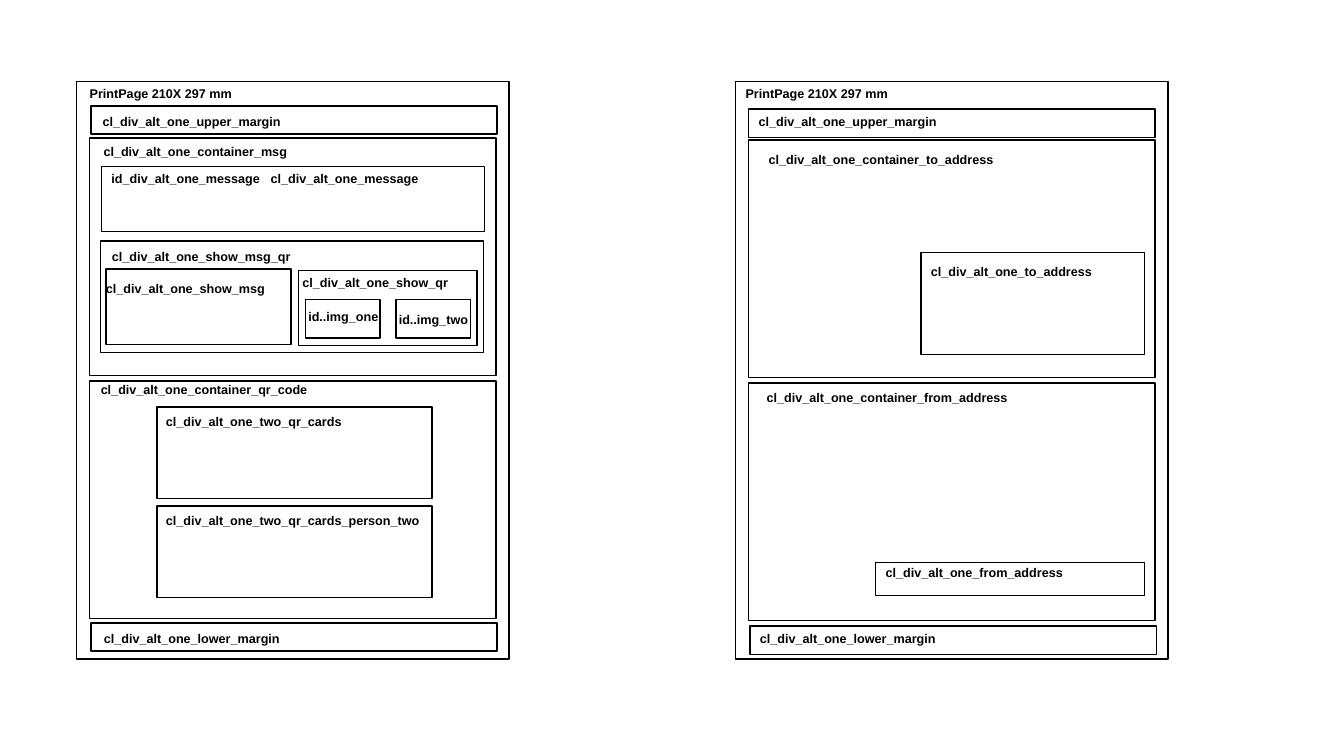
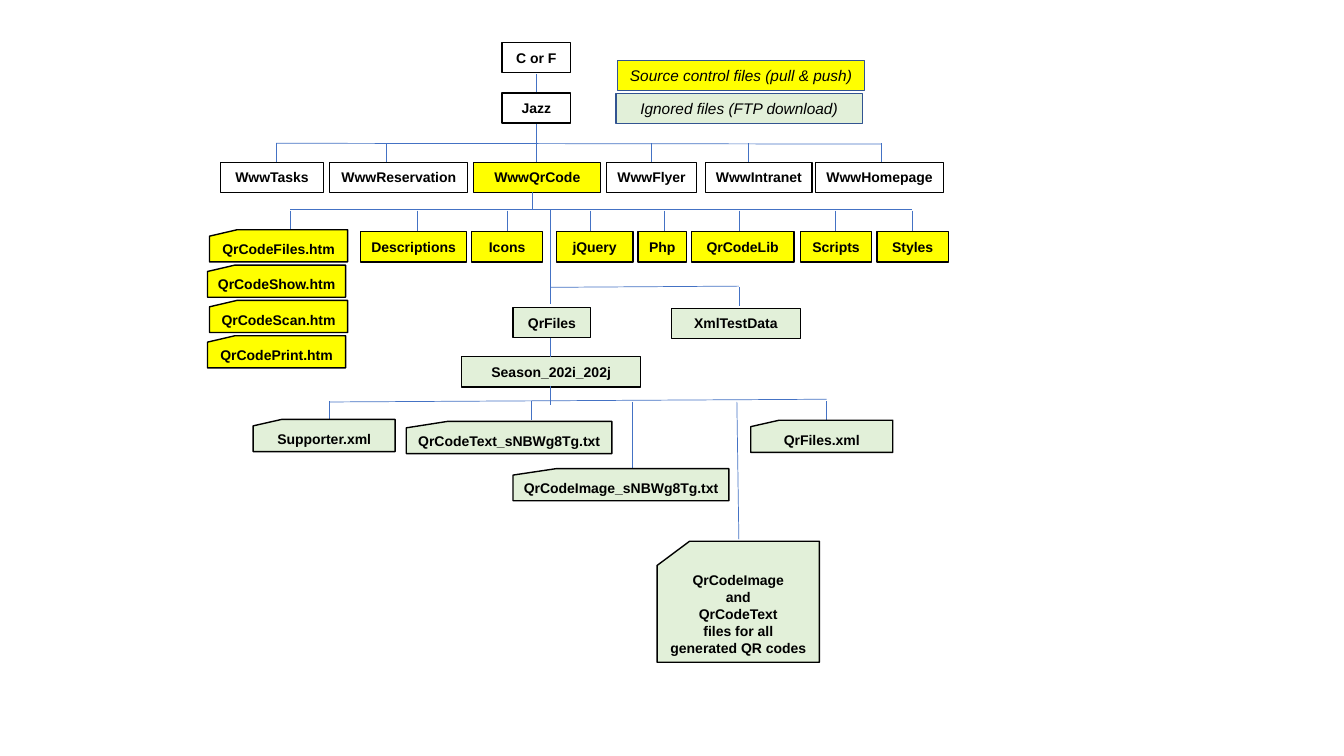
from dataclasses import dataclass

from lxml.etree import SubElement
from pptx import Presentation
from pptx.dml.color import RGBColor
from pptx.enum.shapes import MSO_CONNECTOR, MSO_SHAPE
from pptx.enum.text import MSO_ANCHOR, PP_ALIGN
from pptx.oxml.ns import qn
from pptx.util import Cm, Pt

COLORS = {
    "ink": "000000",
    "branch": "4472C4",
    "legend": "325491",
    "source": "FFFF00",
    "ignored": "E2F0D9",
}
FONT = "Arial"
NODE_H = 0.76
CARD_H = 0.81


@dataclass
class Box:
    """An area of the slide in centimetres."""
    x: float
    y: float
    w: float
    h: float

    def inner(self, x, y, w, h):
        return Box(self.x + x, self.y + y, w, h)

    def lengths(self):
        return Cm(self.x), Cm(self.y), Cm(self.w), Cm(self.h)


def color(name):
    return RGBColor.from_string(COLORS[name])


# Shared building parts

def write(frame, *lines, size=10, bold=True, italic=False,
          align=PP_ALIGN.CENTER, anchor=MSO_ANCHOR.MIDDLE, wrap=False):
    frame.word_wrap = wrap
    frame.vertical_anchor = anchor
    for i, line in enumerate(lines):
        paragraph = frame.paragraphs[0] if i == 0 else frame.add_paragraph()
        paragraph.alignment = align
        run = paragraph.add_run()
        run.text = line
        run.font.name = FONT
        run.font.size = Pt(size)
        run.font.bold = bold
        run.font.italic = italic
        run.font.color.rgb = color("ink")


def outline(slide, box, fill=None, line="ink", preset=MSO_SHAPE.RECTANGLE):
    shape = slide.shapes.add_shape(preset, *box.lengths())
    shape.shadow.inherit = False
    if fill:
        shape.fill.solid()
        shape.fill.fore_color.rgb = color(fill)
    else:
        shape.fill.background()
    shape.line.color.rgb = color(line)
    shape.line.width = Pt(1)
    return shape


def branch(slide, area, x1, y1, x2, y2):
    line = slide.shapes.add_connector(
        MSO_CONNECTOR.STRAIGHT, Cm(area.x + x1), Cm(area.y + y1),
        Cm(area.x + x2), Cm(area.y + y2))
    line.line.color.rgb = color("branch")
    line.line.width = Pt(0.5)
    SubElement(line._element.spPr, qn("a:effectLst"))


def stubs(slide, area, top, bottom, *xs):
    for x in xs:
        branch(slide, area, x, top, x, bottom)


# Page layout diagram

def label(slide, box, text, dx=0, dy=0, width=7.21):
    area = box.inner(dx, dy, width, 0.64)
    frame = slide.shapes.add_textbox(*area.lengths()).text_frame
    write(frame, text, size=9, align=PP_ALIGN.LEFT, anchor=MSO_ANCHOR.TOP,
          wrap=True)


def div(slide, box, text, dx=0, dy=0, width=7.21):
    outline(slide, box)
    label(slide, box, text, dx, dy, width)
    return box


def margin(slide, page, x, y, side, dx=0, dy=0):
    div(slide, page.inner(x, y, 10.24, 0.71),
        f"cl_div_alt_one_{side}_margin", dx, dy)


def container(slide, page, y, content, dx, dy):
    return div(slide, page.inner(0.33, y, 10.24, 5.99),
               f"cl_div_alt_one_container_{content}", dx, dy)


def message_page(slide, page):
    div(slide, page, "PrintPage 210X 297 mm", 0.08, -0.03)
    margin(slide, page, 0.36, 0.61, "upper", 0.05, 0.08)

    # Message and its preview
    msg = container(slide, page, 1.42, "msg", 0.1, 0.03)
    message = div(slide, msg.inner(0.3, 0.71, 9.65, 1.65),
                  "id_div_alt_one_message", width=4.6)
    label(slide, message, "cl_div_alt_one_message", 4.01, width=5.64)
    preview = div(slide, msg.inner(0.28, 2.59, 9.65, 2.82),
                  "cl_div_alt_one_show_msg_qr", 0.03, 0.08, 5.77)
    div(slide, preview.inner(0.13, 0.71, 4.67, 1.9),
        "cl_div_alt_one_show_msg", -0.25, 0.18, 5.36)
    show_qr = div(slide, preview.inner(4.98, 0.74, 4.5, 1.9),
                  "cl_div_alt_one_show_qr", -0.15, 0, 5.36)
    for number, x, dy in (("one", 0.18, 0.1), ("two", 2.46, 0.18)):
        div(slide, show_qr.inner(x, 0.74, 1.88, 0.97),
            f"id..img_{number}", -0.18, dy, 2.36)

    # QR code cards
    codes = container(slide, page, 7.54, "qr_code", 0.03, -0.1)
    for i, person in enumerate(("", "_person_two")):
        div(slide, codes.inner(1.7, 0.66 + 2.49 * i, 6.93, 2.31),
            f"cl_div_alt_one_two_qr_cards{person}", -0.03, 0.05, 7.72)
    margin(slide, page, 0.36, 13.64, "lower", 0.08, 0.08)


def address_page(slide, page):
    div(slide, page, "PrintPage 210X 297 mm", 0, -0.03)
    margin(slide, page, 0.33, 0.69, "upper")
    receiver = container(slide, page, 1.47, "to_address", 0.25, 0.18)
    div(slide, receiver.inner(4.34, 2.84, 5.64, 2.57),
        "cl_div_alt_one_to_address", 0, 0.15, 4.9)
    sender = container(slide, page, 7.59, "from_address", 0.2, 0.05)
    div(slide, sender.inner(3.2, 4.52, 6.78, 0.84),
        "cl_div_alt_one_from_address", 0, -0.05, 5.79)
    margin(slide, page, 0.36, 13.72, "lower")


# Folder tree

def folder(slide, area, x, y, width, name, fill=None):
    shape = outline(slide, area.inner(x, y, width, NODE_H), fill)
    write(shape.text_frame, name)


def card(slide, area, x, y, width, *lines, fill="ignored", height=CARD_H):
    shape = outline(slide, area.inner(x, y, width, height), fill,
                    preset=MSO_SHAPE.FLOWCHART_CARD)
    write(shape.text_frame, *lines)


def legend(slide, area):
    entries = (("source", "Source control files (pull & push)", 0.05),
               ("ignored", "Ignored files (FTP download)", 0))
    for i, (fill, text, x) in enumerate(entries):
        shape = outline(slide, area.inner(x, 0.84 * i, area.w, NODE_H),
                        fill, "legend")
        write(shape.text_frame, text, size=11, bold=False, italic=True)


def site_folders(slide, area):
    for i, name in enumerate(("C or F", "Jazz")):
        y = 1.27 * i
        folder(slide, area, 7.09, y, 1.73, name)
        stubs(slide, area, y + 0.79, y + 1.27, 7.95)
    branch(slide, area, 1.4, 2.54, 16.64, 2.56)
    stubs(slide, area, 2.54, 3.02, 1.4, 4.17, 7.95, 10.85, 13.31, 16.64)
    sites = (("Tasks", 0, 2.59), ("Reservation", 2.75, 3.48),
             ("QrCode", 6.38, 3.2), ("Flyer", 9.73, 2.26),
             ("Intranet", 12.22, 2.69), ("Homepage", 14.99, 3.23))
    for name, x, width in sites:
        folder(slide, area, x, 3.02, width, f"Www{name}",
               "source" if name == "QrCode" else None)
    stubs(slide, area, 3.78, 4.21, 7.85)


def source_files(slide, area):
    branch(slide, area, 2.09, 0, 17.76, 0)
    stubs(slide, area, 0.03, 0.54,
          2.09, 5.29, 7.55, 9.65, 11.51, 13.39, 15.83, 17.76)
    folders = (("Descriptions", 3.86, 2.67), ("Icons", 6.66, 1.78),
               ("jQuery", 8.79, 1.93), ("Php", 10.85, 1.22),
               ("QrCodeLib", 12.19, 2.59), ("Scripts", 14.94, 1.8),
               ("Styles", 16.87, 1.8))
    for name, x, width in folders:
        folder(slide, area, x, 0.56, width, name, "source")
    for i, task in enumerate(("Files", "Show", "Scan", "Print")):
        card(slide, area, 0.05 * (1 - i % 2), 0.51 + 0.89 * i, 3.48,
             f"QrCode{task}.htm", fill="source")


def ignored_files(slide, area):
    # Folders
    stubs(slide, area, 0, 2.39, 7.49)
    branch(slide, area, 7.49, 1.96, 12.24, 1.93)
    stubs(slide, area, 1.96, 2.42, 12.24)
    for name, x, y, width in (("QrFiles", 6.55, 2.47, 1.96),
                              ("XmlTestData", 10.54, 2.49, 3.25),
                              ("Season_202i_202j", 5.25, 3.71, 4.52)):
        folder(slide, area, x, y, width, name, "ignored")
    stubs(slide, area, 3.23, 3.71, 7.5)
    stubs(slide, area, 4.45, 4.93, 7.49)

    # Files of the season
    branch(slide, area, 1.93, 4.85, 14.45, 4.78)
    stubs(slide, area, 4.83, 5.3, 1.93, 7.01, 14.45)
    stubs(slide, area, 4.85, 6.51, 9.55)
    branch(slide, area, 12.19, 4.85, 12.24, 8.31)
    for name, x, y, width in (("Supporter.xml", 0, 5.29, 3.58),
                              ("QrCodeText_sNBWg8Tg.txt", 3.86, 5.34, 5.18),
                              ("QrCodeImage_sNBWg8Tg.txt", 6.55, 6.53, 5.44),
                              ("QrFiles.xml", 12.54, 5.31, 3.58)):
        card(slide, area, x, y, width, name)
    card(slide, area, 10.18, 8.36, 4.09, "QrCodeImage", "and", "QrCodeText",
         "files for all", "generated QR codes", height=3.05)


def main():
    deck = Presentation()
    deck.slide_width, deck.slide_height = Cm(33.87), Cm(19.05)
    blank = deck.slide_layouts[6]

    layout = deck.slides.add_slide(blank)
    message_page(layout, Box(1.93, 2.06, 10.9, 14.55))
    address_page(layout, Box(18.54, 2.06, 10.9, 14.55))

    tree = deck.slides.add_slide(blank)
    legend(tree, Box(15.52, 1.52, 6.22, 1.6))
    site_folders(tree, Box(5.56, 1.07, 18.22, 4.21))
    source_files(tree, Box(5.23, 5.28, 18.67, 3.99))
    ignored_files(tree, Box(6.38, 5.28, 16.12, 11.41))

    deck.save("out.pptx")


if __name__ == "__main__":
    main()
